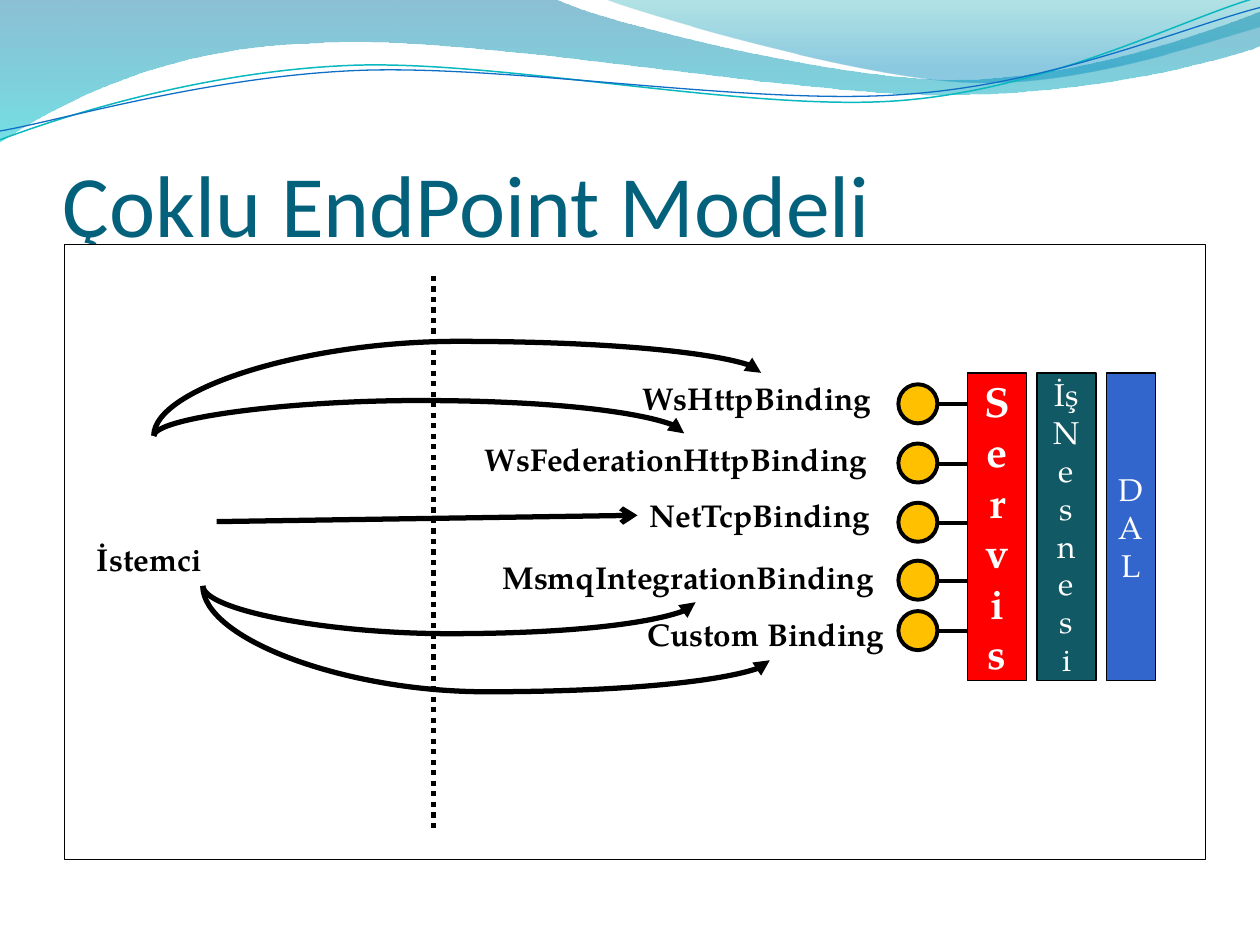
from pptx import Presentation
from pptx.util import Inches, Pt
from pptx.dml.color import RGBColor
from pptx.enum.dml import MSO_LINE
from pptx.enum.shapes import MSO_CONNECTOR, MSO_SHAPE
from pptx.enum.text import MSO_ANCHOR, MSO_AUTO_SIZE, PP_ALIGN
from pptx.oxml.ns import qn
from lxml.etree import SubElement

SERIF = "TeX Gyre Pagella"
TITLE = "Çoklu EndPoint Modeli"
WAVES = [
    ([(0, 0), (4.4, -0.01), (4.76, 0.17, 6.64, 0.63, 7.58, 0.63),
      (8.53, 0.63, 9.58, 0.26, 10, 0.09), (10.01, 0.36),
      (9.83, 0.44, 8.7, 0.76, 7.46, 0.75), (6.22, 0.75, 3.82, 0.28, 2.57, 0.34),
      (1.29, 0.36, 0.46, 0.83, -0.01, 1.13)],
     [(0, "0074A1", 45), (1, "00C6CF", 55)]),
    ([(4.79, -0.01), (5.09, 0.11, 6.82, 0.62, 7.69, 0.65),
      (8.56, 0.69, 9.61, 0.32, 10, 0.21), (10, 0)],
     [(0, "00A1A9", 30), (0.8, "008BBF", 45)]),
]
CURLS = [
    ([(0, 1.11), (0.48, 0.93, 1.58, 0.57, 2.77, 0.52),
      (3.95, 0.47, 5.93, 0.89, 7.13, 0.8), (8.33, 0.71, 9.38, 0.15, 9.98, -0.02)],
     "0AB8BF", 0.85),
    ([(0, 1.04), (0.47, 0.96, 1.64, 0.61, 2.83, 0.56),
      (4.03, 0.51, 5.97, 0.84, 7.17, 0.75), (8.36, 0.67, 9.41, 0.21, 10, 0.06)],
     "0F6FC6", 0.75),
]
LABELS = [
    ("WsHttpBinding", 5, 2.96, 2.07),
    ("WsFederationHttpBinding", 3.75, 3.44, 3.37),
    ("NetTcpBinding", 5.06, 3.89, 1.98),
    ("MsmqIntegrationBinding", 3.89, 4.38, 3.26),
    ("Custom Binding", 5.04, 4.83, 2.15),
    ("İstemci", 0.67, 4.24, 1.89),
]
PORTS = [3.21, 3.68, 4.15, 4.61, 5.01]
BARS = [
    (["S", "e", "r", "v", "i", "s"], 7.68, 0.47, "FF0000", 24, True),
    (["İş", "N", "e", "s", "n", "e", "s", "i"], 8.23, 0.47, "115964", 18, False),
    (["D", "A", "L"], 8.78, 0.39, "3366CC", 18, False),
]
ARCS = [
    (1.22, 3.46, 6.04, 2.96, 2.71),
    (1.22, 3.46, 5.43, 3.44, 3.18),
    (1.61, 4.65, 5.52, 4.78, 5.03),
    (1.61, 4.65, 6.11, 5.24, 5.49),
]

deck = Presentation()
deck.slide_width, deck.slide_height = Inches(10), Inches(7.5)
slide = deck.slides.add_slide(deck.slide_layouts[6])
shapes = slide.shapes


def tint(code):
    return RGBColor.from_string(code)


def trace(steps, closed):
    knots = [(Inches(step[-2]), Inches(step[-1])) for step in steps]
    pen = shapes.build_freeform(*knots[0])
    pen.add_line_segments(knots[1:], close=closed)
    shape = pen.convert_to_shape()
    shape.shadow.inherit = False
    left, top = (min(axis) for axis in zip(*knots))
    parts = list(shape._element.spPr.iter(qn("a:lnTo")))
    for part, step in zip(parts, steps[1:]):
        if len(step) == 2:
            continue
        part.tag = qn("a:cubicBezTo")
        for old in list(part):
            part.remove(old)
        for x, y in zip(step[::2], step[1::2]):
            SubElement(part, qn("a:pt"), x=str(Inches(x) - left), y=str(Inches(y) - top))
    return shape


def style(run, size, color, bold=False, face=SERIF):
    run.font.name, run.font.size, run.font.bold = face, Pt(size), bold
    run.font.color.rgb = tint(color)


def label(text, x, y, w, h=0.4):
    box = shapes.add_textbox(Inches(x), Inches(y), Inches(w), Inches(h))
    frame = box.text_frame
    frame.text = text
    return frame, frame.paragraphs[0].runs[0]


def block(kind, x, y, w, h, fill, weight=0.75):
    shape = shapes.add_shape(kind, Inches(x), Inches(y), Inches(w), Inches(h))
    shape.shadow.inherit = False
    shape.fill.solid()
    shape.fill.fore_color.rgb = tint(fill)
    shape.line.color.rgb = tint("000000")
    shape.line.width = Pt(weight)
    return shape


def link(x1, y1, x2, y2, weight=3, head=None, kind=MSO_CONNECTOR.STRAIGHT):
    line = shapes.add_connector(kind, Inches(x1), Inches(y1), Inches(x2), Inches(y2))
    line.line.color.rgb = tint("000000")
    line.line.width = Pt(weight)
    if head:
        SubElement(line.line._get_or_add_ln(), qn("a:tailEnd"), type=head)
    SubElement(line._element.spPr, qn("a:effectLst"))
    return line


def arc(x1, y1, x2, y2, peak):
    w, h = abs(y2 - y1), x2 - x1
    x, y = (x1 + x2 - w) / 2, (y1 + y2 - h) / 2
    line = link(x, y, x + w, y + h, 3, "triangle", MSO_CONNECTOR.CURVE)
    rises = y2 < y1
    form = line._element.spPr.find(qn("a:xfrm"))
    form.set("rot", str((90 if rises else 270) * 60000))
    form.set("flipH", "1")
    if rises:
        form.set("flipV", "1")
    geom = line._element.spPr.find(qn("a:prstGeom"))
    bend = round((peak - y1) / (y2 - y1) * 100000)
    SubElement(geom.find(qn("a:avLst")), qn("a:gd"), name="adj1", fmla=f"val {bend}")


for steps, stops in WAVES:
    wave = trace(steps, True)
    wave.line.fill.background()
    wave.fill.gradient()
    wave.fill.gradient_angle = 270
    for stop, (place, color, _) in zip(wave.fill.gradient_stops, stops):
        stop.position = place
        stop.color.rgb = tint(color)
    marks = wave._element.spPr.iter(qn("a:srgbClr"))
    for mark, (_, _, alpha) in zip(marks, stops):
        SubElement(mark, qn("a:alpha"), val=str(alpha * 1000))

for steps, color, weight in CURLS:
    curl = trace(steps, False)
    curl.fill.background()
    curl.line.color.rgb = tint(color)
    curl.line.width = Pt(weight)

frame, run = label(TITLE, 0.5, 0.77, 9, 1.25)
frame.word_wrap = True
frame.vertical_anchor = MSO_ANCHOR.BOTTOM
frame.margin_left = frame.margin_right = frame.margin_bottom = 0
style(run, 50, "04617B", face="Calibri")

block(MSO_SHAPE.RECTANGLE, 0.51, 1.94, 9.06, 4.88, "FFFFFF")
link(3.44, 2.19, 3.44, 6.6).line.dash_style = MSO_LINE.ROUND_DOT

for text, x, y, w in LABELS:
    frame, run = label(text, x, y, w)
    frame.word_wrap = text == "İstemci"
    frame.auto_size = MSO_AUTO_SIZE.SHAPE_TO_FIT_TEXT
    style(run, 18, "000000", True)

for y in PORTS:
    link(7.68, y, 7.44, y, 2.25)
    block(MSO_SHAPE.OVAL, 7.13, y - 0.16, 0.31, 0.31, "FFC000", 2.25)

for chars, x, w, fill, size, bold in BARS:
    frame = block(MSO_SHAPE.RECTANGLE, x, 2.96, w, 2.44, fill).text_frame
    frame.text = "\n".join(chars)
    frame.word_wrap = False
    frame.vertical_anchor = MSO_ANCHOR.MIDDLE
    for para in frame.paragraphs:
        para.alignment = PP_ALIGN.CENTER
        style(para.runs[0], size, "FFFFFF", bold)

for ends in ARCS:
    arc(*ends)
link(1.72, 4.14, 5.06, 4.09, head="arrow")

deck.save("out.pptx")
